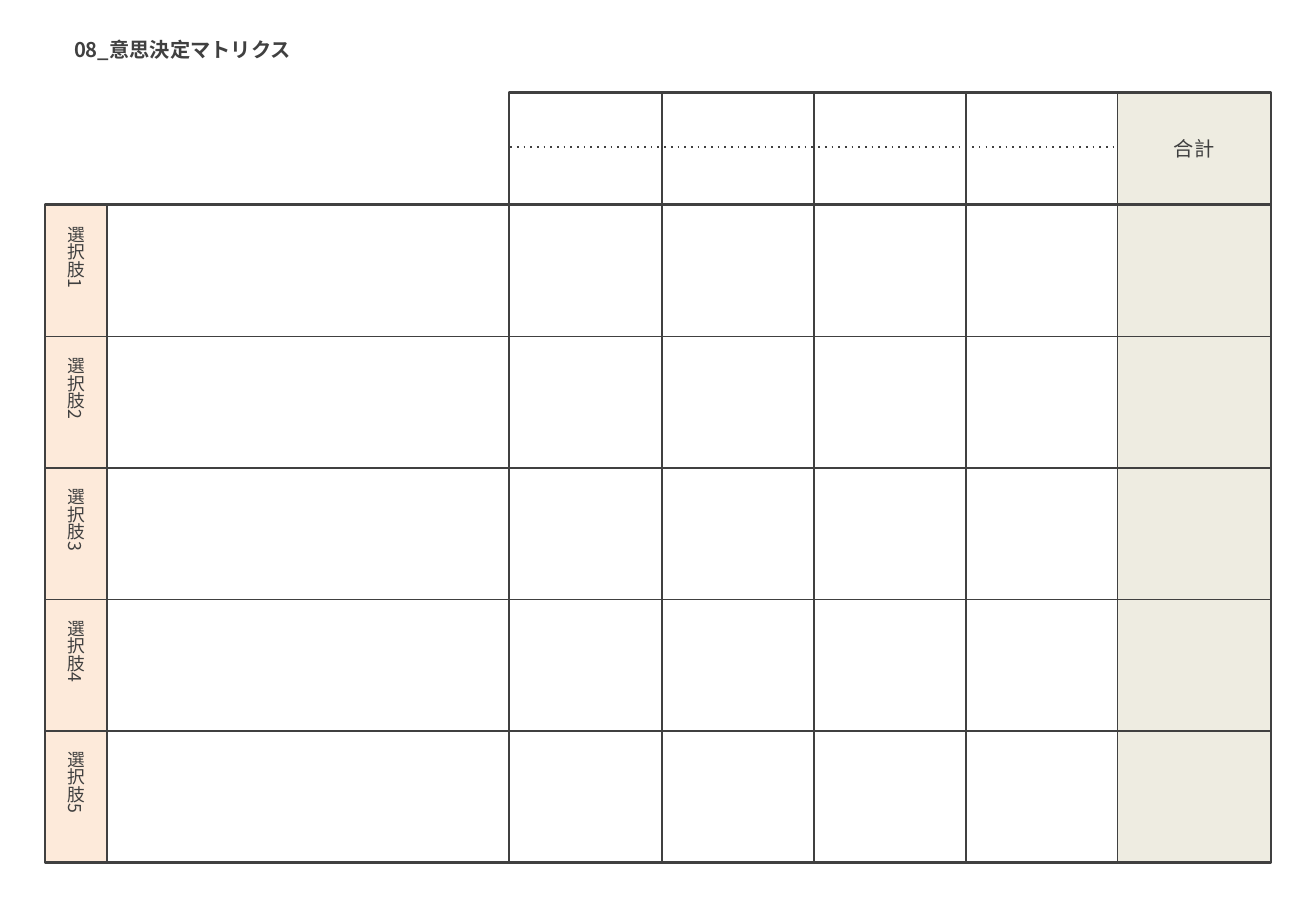
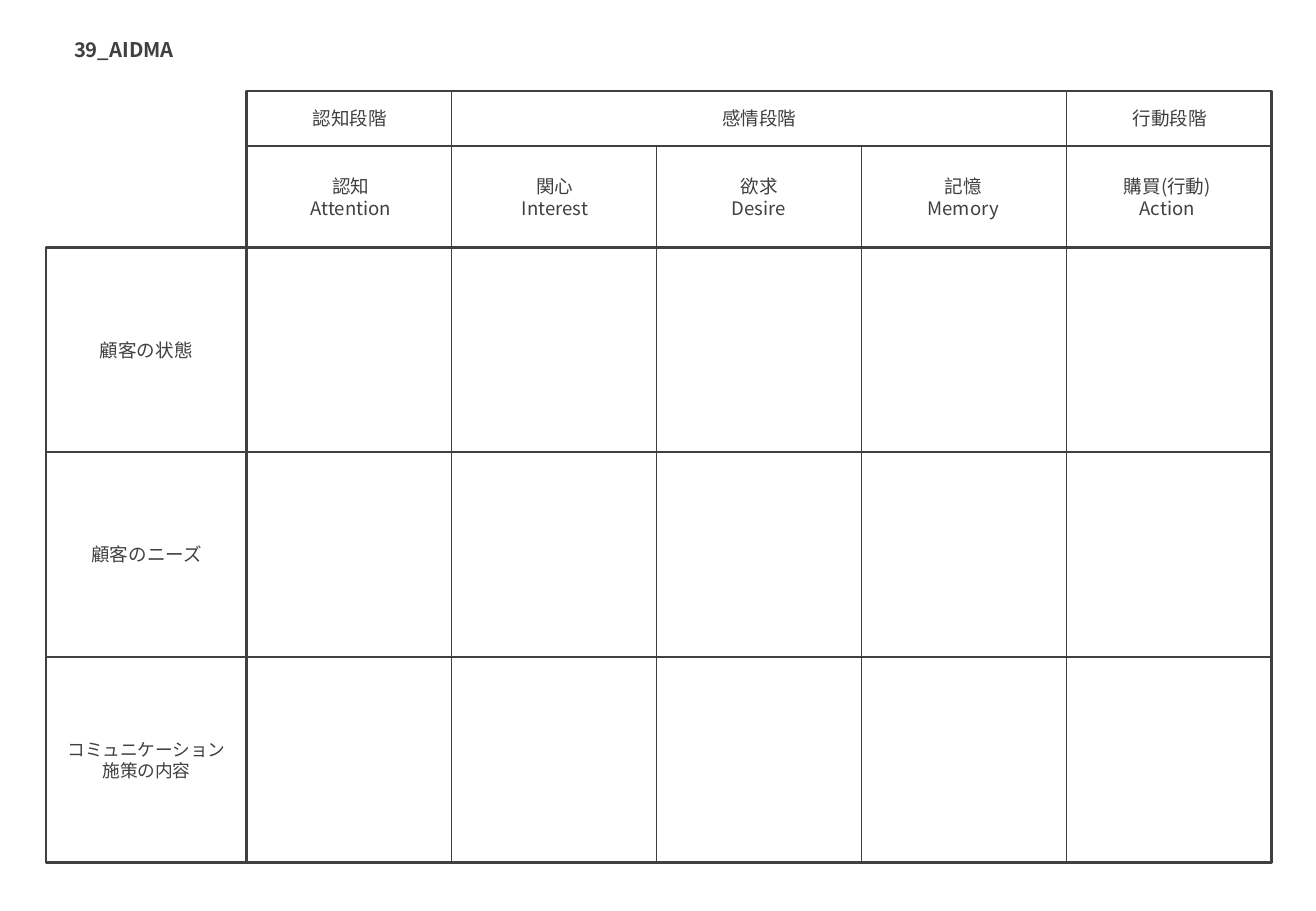
from dataclasses import dataclass
from lxml.etree import SubElement
from pptx import Presentation
from pptx.dml.color import RGBColor
from pptx.enum.shapes import MSO_CONNECTOR, MSO_SHAPE
from pptx.enum.text import MSO_ANCHOR, MSO_AUTO_SIZE, PP_ALIGN
from pptx.oxml.ns import qn
from pptx.slide import Slide
from pptx.text.text import TextFrame
from pptx.util import Pt

FONT = "Noto Sans CJK JP"
INK = "404040"
PEACH = "FDEADA"
SAND = "EEECE1"
RIGHT = 753.2
BASE = 511.2


@dataclass
class Box:
    left: float
    top: float
    width: float
    height: float

    def points(self) -> tuple:
        return Pt(self.left), Pt(self.top), Pt(self.width), Pt(self.height)


@dataclass
class Label:
    text: str
    box: Box
    size: float = 11
    upright: bool = False


@dataclass
class Rule:
    left: float
    top: float
    right: float
    base: float
    dotted: bool = False


def paint(target, shade: str) -> None:
    target.solid()
    target.fore_color.rgb = RGBColor.from_string(shade)


def write(frame: TextFrame, text: str, size: float, align: PP_ALIGN, bold: bool = False) -> None:
    for spot, line in enumerate(text.split("\n")):
        para = frame.add_paragraph() if spot else frame.paragraphs[0]
        para.alignment = align
        run = para.add_run()
        run.text = line
        run.font.size = Pt(size)
        run.font.bold = bold
        run.font.name = FONT
        paint(run.font.fill, INK)
        SubElement(run.font._element, qn("a:ea"), typeface=FONT)


def add_page(deck: Presentation, title: str, width: float) -> Slide:
    page = deck.slides.add_slide(deck.slide_layouts[5])
    head = page.shapes.title
    head.left, head.top, head.width, head.height = Box(36.7, 18.7, width, 21.6).points()
    frame = head.text_frame
    frame.word_wrap = False
    frame.auto_size = MSO_AUTO_SIZE.SHAPE_TO_FIT_TEXT
    frame.vertical_anchor = MSO_ANCHOR.TOP
    write(frame, title, 12, PP_ALIGN.LEFT, True)
    return page


def add_label(page: Slide, label: Label) -> None:
    shape = page.shapes.add_textbox(*label.box.points())
    frame = shape.text_frame
    frame.word_wrap = True
    frame.auto_size = MSO_AUTO_SIZE.SHAPE_TO_FIT_TEXT
    frame.vertical_anchor = MSO_ANCHOR.MIDDLE
    if label.upright:
        shape.element.txBody.find(qn("a:bodyPr")).set("vert", "eaVert")
    write(frame, label.text, label.size, PP_ALIGN.CENTER)


def add_rule(page: Slide, rule: Rule) -> None:
    ends = (Pt(rule.left), Pt(rule.top), Pt(rule.right), Pt(rule.base))
    line = page.shapes.add_connector(MSO_CONNECTOR.STRAIGHT, *ends)
    paint(line.line.fill, INK)
    line.line.width = Pt(1)
    props = line.element.spPr
    if rule.dotted:
        SubElement(props.find(qn("a:ln")), qn("a:prstDash"), val="dot")
    SubElement(props, qn("a:effectLst"))


def add_rect(page: Slide, box: Box, shade: str = "") -> None:
    rect = page.shapes.add_shape(MSO_SHAPE.RECTANGLE, *box.points())
    rect.shadow.inherit = False
    if shade:
        paint(rect.fill, shade)
        rect.line.fill.background()
    else:
        rect.fill.background()
        paint(rect.line.fill, INK)
        rect.line.width = Pt(1.5)


def draw_choice(deck: Presentation) -> None:
    page = add_page(deck, "08_意思決定マトリクス", 148.3)
    left, first, step, top, pitch = 26.6, 302.4, 90, 121.4, 78
    total = first + 4 * step
    add_rect(page, Box(left, top, 36.7, 389.6), PEACH)
    add_rect(page, Box(total, 54.9, 90.8, 456), SAND)
    add_rule(page, Rule(first, 87.1, total, 87.1, True))
    for col in range(1, 5):
        edge = first + col * step
        add_rule(page, Rule(edge, 54, edge, BASE))
    for row in range(1, 5):
        edge = top + row * pitch
        add_rule(page, Rule(left, edge, RIGHT, edge))
    add_label(page, Label("合計", Box(total, 77, 90.8, 21.6), 12))
    for row in range(5):
        box = Box(29.5, 126.7 + 77.8 * row, 30.2, 68.4)
        add_label(page, Label(f"選択肢{row + 1}", box, 10.5, True))
    add_rule(page, Rule(63.3, top, 63.3, BASE))
    add_rect(page, Box(left, 121.2, 726.8, 390))
    add_rect(page, Box(301.8, 54.9, 451.6, 456))


def draw_stages(deck: Presentation) -> None:
    page = add_page(deck, "39_AIDMA", 83.5)
    left, first, top, deep, cell = 27.2, 146.2, 54, 86.4, 121.5
    sides = [
        Label("顧客の状態", Box(left, 197.3, 119, 20.9)),
        Label("顧客のニーズ", Box(left, 318.2, 119.5, 20.9)),
        Label("コミュニケーション\n施策の内容", Box(left, 434.2, 119.5, 32.4), 10.5),
    ]
    heads = [
        Label("認知段階", Box(147.6, 58.3, 119.5, 23.8)),
        Label("感情段階", Box(268.6, 58.3, 362.9, 23.8)),
        Label("行動段階", Box(632.9, 58.3, 121, 23.8)),
    ]
    steps = ["認知\nAttention", "関心\nInterest", "欲求\nDesire", "記憶\nMemory", "購買(行動)\nAction"]
    cols = [Label(text, Box(148.2 + 121 * spot, 97.2, 119.5, 38.9)) for spot, text in enumerate(steps)]
    for label in sides + heads + cols:
        add_label(page, label)
    for row in (1, 2):
        edge = 146.6 + row * cell
        add_rule(page, Rule(left, edge, RIGHT, edge))
    add_rule(page, Rule(first, deep, RIGHT, deep))
    for col, start in enumerate((top, deep, deep, top), 1):
        edge = first + col * cell
        add_rule(page, Rule(edge, start, edge, BASE))
    add_rect(page, Box(left, 146.9, 726.4, 364.3))
    add_rect(page, Box(first, top, 607.5, 457.2))


def main() -> None:
    deck = Presentation()
    deck.slide_width, deck.slide_height = Pt(780), Pt(540)
    draw_choice(deck)
    draw_stages(deck)
    deck.save("out.pptx")


if __name__ == "__main__":
    main()
